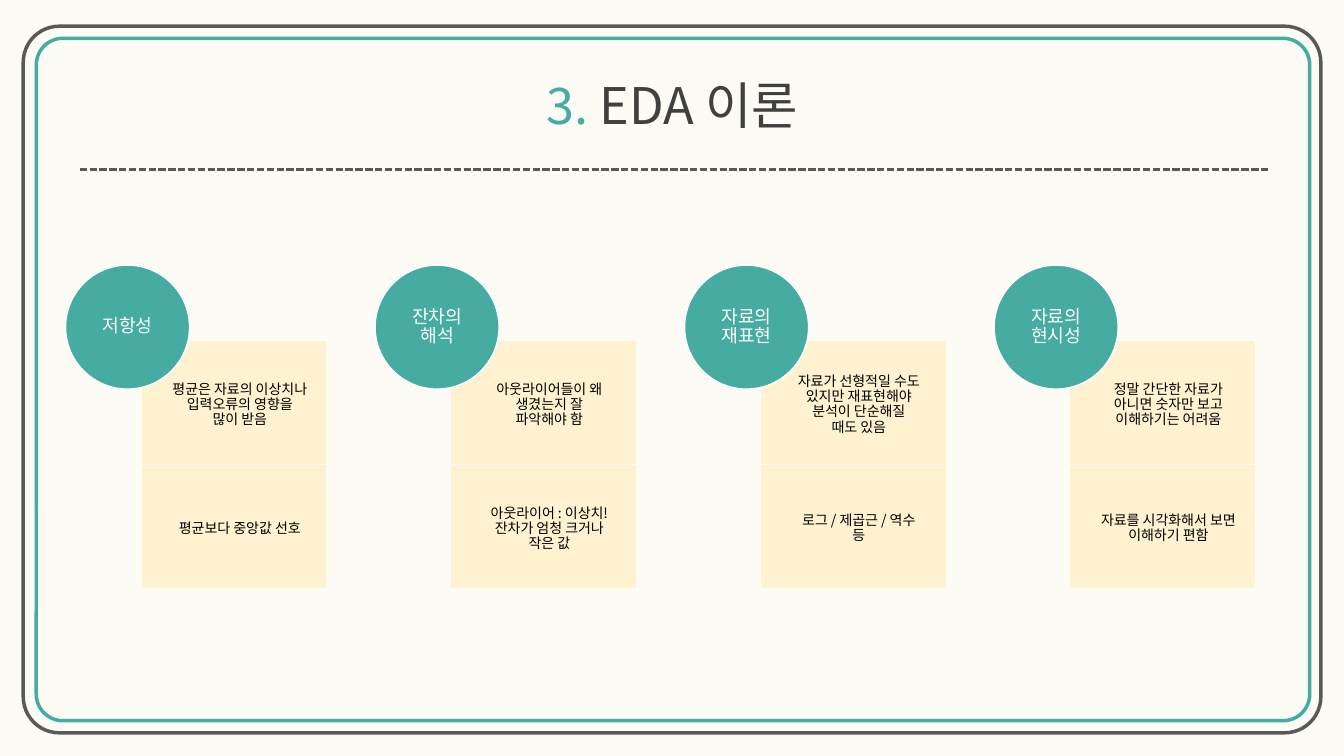
import copy

import pptx
import pptx.util
import pptx.dml.color
import pptx.enum.dml
import pptx.enum.shapes
import pptx.enum.text
import pptx.oxml
import pptx.oxml.ns
from lxml import etree

RGB = pptx.dml.color.RGBColor
SHAPE = pptx.enum.shapes.MSO_SHAPE
CREAM = RGB(0xFC, 0xFB, 0xF6)
TEAL = RGB(0x46, 0xAC, 0xA1)
GREY = RGB(0x59, 0x59, 0x59)
DARK = RGB(0x40, 0x40, 0x40)
SAND = RGB(0xFF, 0xF2, 0xCC)
BLACK = RGB(0, 0, 0)
WHITE = RGB(0xFF, 0xFF, 0xFF)
FONT = "Noto Sans CJK KR"

W, H = pptx.util.Inches(13.33), pptx.util.Inches(7.5)

# Topic grid: one row is a circle's diameter and a card's height
ROW = 0.164 * H
COLUMN = 0.2303 * W
LEFT, TOP = 0.0488 * W, 0.3507 * H
CARD_SHIFT = 0.61 * ROW
CARD_WIDTH = 1.5 * ROW

TOPICS = [
    ("저항성",
     ["평균은 자료의 이상치나\n입력오류의 영향을\n많이 받음",
      "평균보다 중앙값 선호"]),
    ("잔차의\n해석",
     ["아웃라이어들이 왜\n생겼는지 잘\n파악해야 함",
      "아웃라이어 : 이상치!\n잔차가 엄청 크거나\n작은 값"]),
    ("자료의\n재표현",
     ["자료가 선형적일 수도\n있지만 재표현해야\n분석이 단순해질\n때도 있음",
      "로그 / 제곱근 / 역수\n등"]),
    ("자료의\n현시성",
     ["정말 간단한 자료가\n아니면 숫자만 보고\n이해하기는 어려움",
      "자료를 시각화해서 보면\n이해하기 편함"]),
]


def add_text(p, text, size, color):
    """Add text to a paragraph, with a line break at each newline."""
    for i, line in enumerate(text.split("\n")):
        if i:
            p.add_line_break()
        r = p.add_run()
        r.text = line
        r.font.size = pptx.util.Pt(size)
        r.font.name = FONT
        r.font.color.rgb = color
        rPr = r.font._element
        ea = etree.SubElement(rPr, pptx.oxml.ns.qn("a:ea"))
        ea.set("typeface", FONT)
    # Breaks take the size of the text around them
    for br in p._p.findall(pptx.oxml.ns.qn("a:br")):
        br.append(copy.deepcopy(rPr))


def add_box(s, kind, x, y, w, h, line, width, fill=None):
    sp = s.shapes.add_shape(kind, round(x), round(y), round(w), round(h))
    sp.shadow.inherit = False
    sp.line.color.rgb = line
    sp.line.width = pptx.util.Pt(width)
    if fill is None:
        sp.fill.background()
    else:
        sp.fill.solid()
        sp.fill.fore_color.rgb = fill
    return sp


def add_frame(s, x, y, w, h, radius, color):
    sp = add_box(s, SHAPE.ROUNDED_RECTANGLE, x * W, y * H, w * W, h * H, color, 2.5)
    sp.adjustments[0] = radius


def fill_text(sp, text, size, color, insets=(0, 0, 0, 0)):
    tf = sp.text_frame
    tf.word_wrap = True
    tf.vertical_anchor = pptx.enum.text.MSO_ANCHOR.MIDDLE
    tf.margin_left, tf.margin_top, tf.margin_right, tf.margin_bottom = (
        pptx.util.Inches(inset) for inset in insets)
    p = tf.paragraphs[0]
    p.alignment = pptx.enum.text.PP_ALIGN.CENTER
    p.line_spacing = 0.9
    add_text(p, text, size=size, color=color)


def add_card(s, x, y, text):
    sp = add_box(s, SHAPE.RECTANGLE, x, y, CARD_WIDTH, ROW, CREAM, 1, SAND)
    color = sp.fill._xPr.find(".//" + pptx.oxml.ns.qn("a:solidFill"))[0]
    etree.SubElement(color, pptx.oxml.ns.qn("a:alpha")).set("val", "90000")
    fill_text(sp, text, 10, BLACK, (0.25, 0.12, 0.14, 0.08))


def add_topic(s, x, name, cards):
    for i, text in enumerate(cards):
        add_card(s, x + CARD_SHIFT, TOP + CARD_SHIFT + i * ROW, text)
    circle = add_box(s, SHAPE.OVAL, x, TOP, ROW, ROW, WHITE, 1, TEAL)
    fill_text(circle, name, 13, WHITE)


def set_title(s):
    sp = s.shapes.title
    sp.left, sp.top = round(0.3931 * W), round(0.0907 * H)
    sp.width, sp.height = round(0.2138 * W), round(0.0947 * H)
    tf = sp.text_frame
    tf.word_wrap = False
    tf.auto_size = pptx.enum.text.MSO_AUTO_SIZE.SHAPE_TO_FIT_TEXT
    tf.vertical_anchor = pptx.enum.text.MSO_ANCHOR.TOP
    p = tf.paragraphs[0]
    p.alignment = pptx.enum.text.PP_ALIGN.CENTER
    add_text(p, "3.", size=36, color=TEAL)
    add_text(p, " EDA 이론", size=36, color=DARK)


def add_divider(s, x1, x2, y):
    line = s.shapes.add_connector(
        pptx.enum.shapes.MSO_CONNECTOR.STRAIGHT,
        round(x1 * W), round(y * H), round(x2 * W), round(y * H))
    line.line.color.rgb = GREY
    line.line.width = pptx.util.Pt(1.75)
    line.line.dash_style = pptx.enum.dml.MSO_LINE.SQUARE_DOT
    etree.SubElement(line._element.spPr, pptx.oxml.ns.qn("a:effectLst"))


def main():
    prs = pptx.Presentation()
    prs.slide_width, prs.slide_height = W, H
    s = prs.slides.add_slide(prs.slide_layouts[5])
    s.background.fill.solid()
    s.background.fill.fore_color.rgb = CREAM

    # Double border
    add_frame(s, 0.027, 0.0507, 0.9475, 0.9027, 0.039, TEAL)
    add_frame(s, 0.0173, 0.0347, 0.9655, 0.9347, 0.051, GREY)

    # Heading
    set_title(s)
    add_divider(s, 0.0593, 0.9452, 0.224)

    # Topics
    for i, (name, cards) in enumerate(TOPICS):
        add_topic(s, LEFT + i * COLUMN, name, cards)

    prs.save("out.pptx")


if __name__ == "__main__":
    main()
